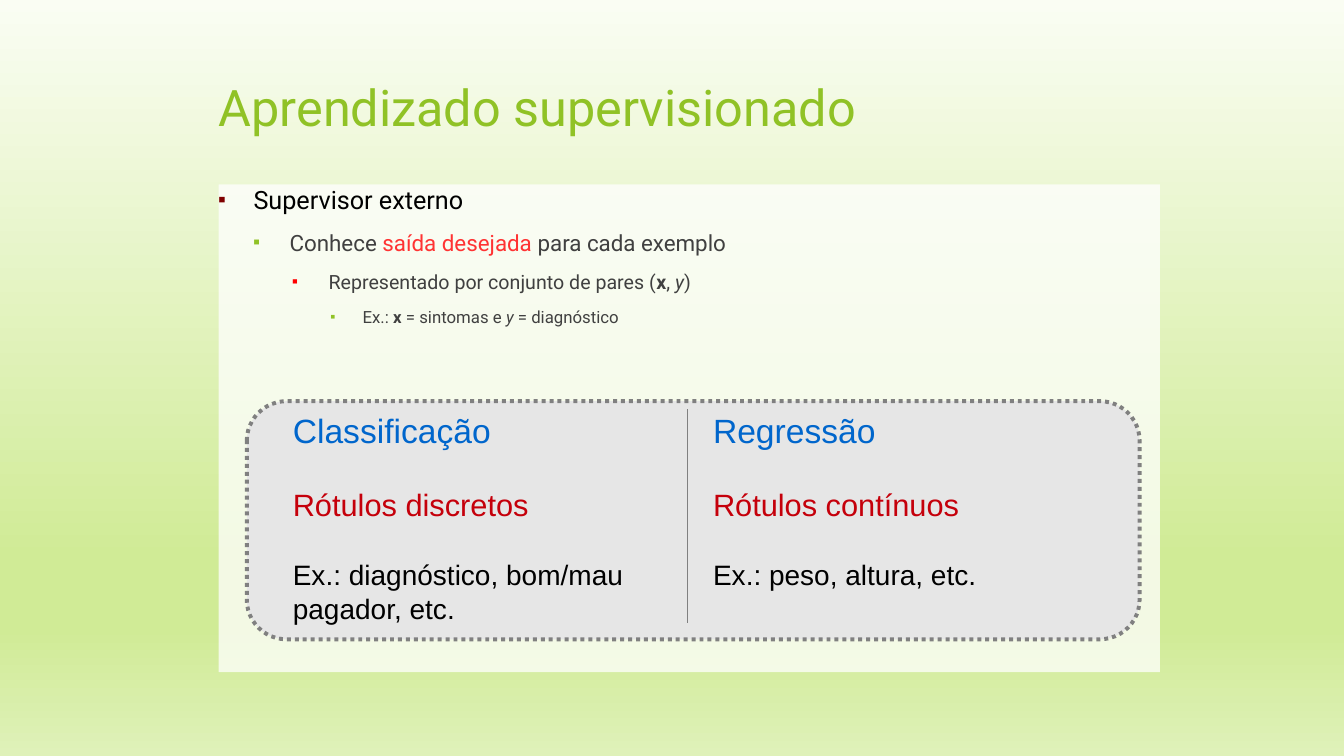
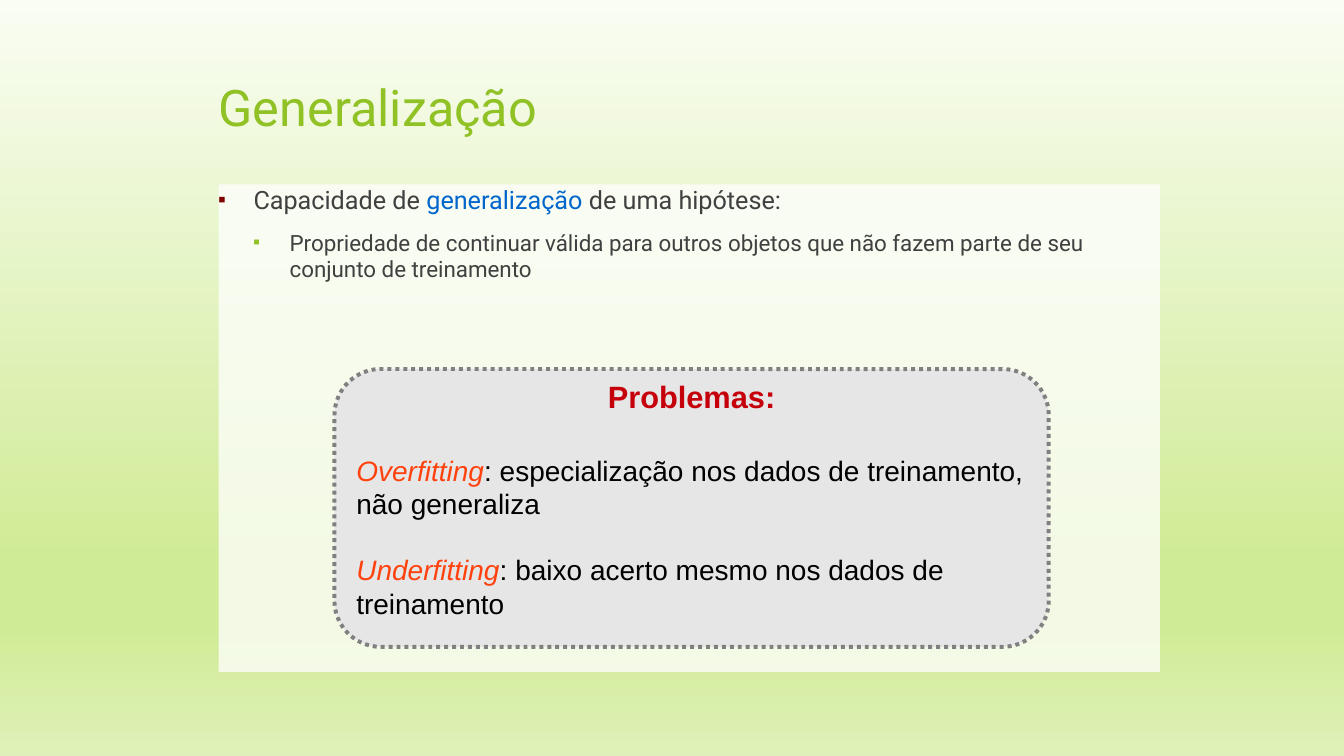
from dataclasses import dataclass

from lxml.etree import SubElement
from pptx import Presentation
from pptx.dml.color import RGBColor
from pptx.enum.dml import MSO_LINE
from pptx.enum.shapes import MSO_CONNECTOR, MSO_SHAPE
from pptx.enum.text import MSO_ANCHOR, PP_ALIGN
from pptx.oxml.ns import qn
from pptx.util import Cm, Pt


@dataclass(frozen=True)
class Theme:
    title_font: str = "Roboto"
    card_font: str = "Arial"
    green: str = "90C226"
    dark: str = "404040"
    black: str = "000000"
    white: str = "FFFFFF"
    red: str = "FF3333"
    crimson: str = "C5000B"
    orange: str = "FF420E"
    blue: str = "0066CC"
    card: str = "E6E6E6"
    border: str = "808080"
    background: tuple = ((0, "FAFDF3"), (74, "D0EB96"), (83, "D0EB96"), (100, "DFF1B9"))
    panel_opacity: int = 75
    title_size: int = 36
    heading_size: int = 24
    label_size: int = 22
    example_size: int = 20
    bullet_scale: int = 45
    # One entry per level: text size, indent (cm), hanging part (cm), bullet colour
    levels: tuple = (
        (18, 0.88, 0.88, "800000"),
        (16, 1.79, 0.91, "90C226"),
        (14, 2.77, 0.91, "FF0000"),
        (12, 3.63, 0.81, "90C226"),
    )


THEME = Theme()
TITLE_BOX = (5.51, 0.89, 22.83, 3.56)
PANEL_BOX = (5.51, 4.65, 23.72, 12.29)


def color(value):
    return RGBColor.from_string(value)


def add_element(parent, tag, **attributes):
    return SubElement(parent, qn(tag), attributes)


# Text helpers
def add_run(paragraph, text, font, size, ink, style=""):
    run = paragraph.add_run()
    run.text = text
    run.font.name = font
    run.font.size = Pt(size)
    run.font.color.rgb = color(ink)
    run.font.bold = "b" in style
    run.font.italic = "i" in style


def next_paragraph(frame, is_first):
    return frame.paragraphs[0] if is_first else frame.add_paragraph()


def add_text_box(slide, box, margins=True):
    frame = slide.shapes.add_textbox(*map(Cm, box)).text_frame
    frame.word_wrap = True
    if not margins:
        clear_margins(frame)
    return frame


def clear_margins(frame):
    frame.margin_left = frame.margin_right = frame.margin_top = frame.margin_bottom = 0


def add_bullet(paragraph, level):
    _, indent, hanging, bullet_color = THEME.levels[level]
    properties = paragraph._p.get_or_add_pPr()
    properties.set("marL", str(Cm(indent)))
    properties.set("indent", str(-Cm(hanging)))
    add_element(add_element(properties, "a:buClr"), "a:srgbClr", val=bullet_color)
    add_element(properties, "a:buSzPct", val=str(THEME.bullet_scale * 1000))
    add_element(properties, "a:buFont", typeface=THEME.card_font)
    add_element(properties, "a:buChar", char="■")


# Shared parts
def set_background(master):
    fill = master.background.fill
    fill.gradient()
    gradient = next(master.element.iter(qn("a:gradFill")))
    for child in list(gradient):
        gradient.remove(child)
    stops = add_element(gradient, "a:gsLst")
    for position, stop_color in THEME.background:
        stop = add_element(stops, "a:gs", pos=str(position * 1000))
        add_element(stop, "a:srgbClr", val=stop_color)
    add_element(gradient, "a:lin", ang="5400000", scaled="0")


def add_title(slide, box, text):
    frame = add_text_box(slide, box, margins=False)
    frame.vertical_anchor = MSO_ANCHOR.MIDDLE
    add_run(frame.paragraphs[0], text, THEME.title_font, THEME.title_size, THEME.green)


def add_panel(slide, box, bullets):
    panel = slide.shapes.add_shape(MSO_SHAPE.RECTANGLE, *map(Cm, box))
    panel.shadow.inherit = False
    panel.line.fill.background()
    panel.fill.solid()
    panel.fill.fore_color.rgb = color(THEME.white)
    fill_color = next(panel.element.spPr.iter(qn("a:srgbClr")))
    add_element(fill_color, "a:alpha", val=str(THEME.panel_opacity * 1000))

    frame = panel.text_frame
    frame.word_wrap = True
    frame.vertical_anchor = MSO_ANCHOR.TOP
    clear_margins(frame)
    for level, runs in enumerate(bullets):
        paragraph = next_paragraph(frame, level == 0)
        paragraph.level = level
        paragraph.alignment = PP_ALIGN.LEFT
        paragraph.space_before = Pt(10)
        add_bullet(paragraph, level)
        for text, ink, style in runs:
            add_run(paragraph, text, THEME.title_font, THEME.levels[level][0], ink, style)


def add_card(slide, box):
    card = slide.shapes.add_shape(MSO_SHAPE.FLOWCHART_ALTERNATE_PROCESS, *map(Cm, box))
    card.shadow.inherit = False
    card.fill.solid()
    card.fill.fore_color.rgb = color(THEME.card)
    card.line.color.rgb = color(THEME.border)
    card.line.width = Pt(2.83)
    card.line.dash_style = MSO_LINE.ROUND_DOT


# Cards
def add_comparison_card(slide, box, columns):
    left, top, _, height = box
    add_card(slide, box)
    sizes = (THEME.heading_size, THEME.label_size, THEME.example_size)
    inks = (THEME.blue, THEME.crimson, THEME.black)
    for offset, texts in zip((0.91, 11.5), columns):
        frame = add_text_box(slide, (left + offset, top + 0.1, 10, height - 0.1))
        for index, (text, size, ink) in enumerate(zip(texts, sizes, inks)):
            paragraph = next_paragraph(frame, index == 0)
            if index:
                paragraph.space_before = Pt(25)
            add_run(paragraph, text, THEME.card_font, size, ink)

    # Divider between the columns
    middle = Cm(left + 11.11)
    divider = slide.shapes.add_connector(
        MSO_CONNECTOR.STRAIGHT, middle, Cm(top + 0.2), middle, Cm(top + height - 0.4))
    divider.line.color.rgb = color(THEME.border)
    divider.line.width = Pt(0.75)
    add_element(divider.element.spPr, "a:effectLst")


def add_problem_card(slide, box, heading, problems):
    left, top, width, height = box
    add_card(slide, box)
    paragraph = add_text_box(slide, (left, top + 0.1, width, 1.2)).paragraphs[0]
    paragraph.alignment = PP_ALIGN.CENTER
    add_run(paragraph, heading, THEME.card_font, THEME.label_size, THEME.crimson, "b")

    frame = add_text_box(slide, (left + 0.3, top + 2, width - 0.5, height - 2))
    for index, (term, meaning) in enumerate(problems):
        paragraph = next_paragraph(frame, index == 0)
        if index:
            paragraph.space_before = Pt(23)
        add_run(paragraph, term, THEME.card_font, THEME.example_size, THEME.orange, "i")
        add_run(paragraph, meaning, THEME.card_font, THEME.example_size, THEME.black)


# Slides
def add_topic_slide(presentation, title, bullets):
    slide = presentation.slides.add_slide(presentation.slide_layouts[6])
    add_title(slide, TITLE_BOX, title)
    add_panel(slide, PANEL_BOX, bullets)
    return slide


def add_supervised_slide(presentation):
    dark = THEME.dark
    slide = add_topic_slide(presentation, "Aprendizado supervisionado", [
        [("Supervisor externo", THEME.black, "")],
        [("Conhece ", dark, ""), ("saída desejada", THEME.red, ""),
         (" para cada exemplo", dark, "")],
        [("Representado por conjunto de pares (", dark, ""), ("x", dark, "b"),
         (", ", dark, ""), ("y", dark, "i"), (")", dark, "")],
        [("Ex.: ", dark, ""), ("x", dark, "b"), (" = sintomas e ", dark, ""),
         ("y", dark, "i"), (" = diagnóstico", dark, "")],
    ])
    add_comparison_card(slide, (6.22, 10.11, 22.5, 6), [
        ("Classificação", "Rótulos discretos", "Ex.: diagnóstico, bom/mau pagador, etc."),
        ("Regressão", "Rótulos contínuos", "Ex.: peso, altura, etc."),
    ])


def add_generalization_slide(presentation):
    dark = THEME.dark
    slide = add_topic_slide(presentation, "Generalização", [
        [("Capacidade de ", dark, ""), ("generalização", THEME.blue, ""),
         (" de uma hipótese:", dark, "")],
        [("Propriedade de continuar válida para outros objetos que não fazem parte "
          "de seu conjunto de treinamento", dark, "")],
    ])
    add_problem_card(slide, (8.43, 9.3, 18, 7), "Problemas:", [
        ("Overfitting", ": especialização nos dados de treinamento, não generaliza"),
        ("Underfitting", ": baixo acerto mesmo nos dados de treinamento"),
    ])


def main():
    presentation = Presentation()
    presentation.slide_width = Cm(33.87)
    presentation.slide_height = Cm(19.05)
    set_background(presentation.slide_master)
    add_supervised_slide(presentation)
    add_generalization_slide(presentation)
    presentation.save("out.pptx")


if __name__ == "__main__":
    main()
